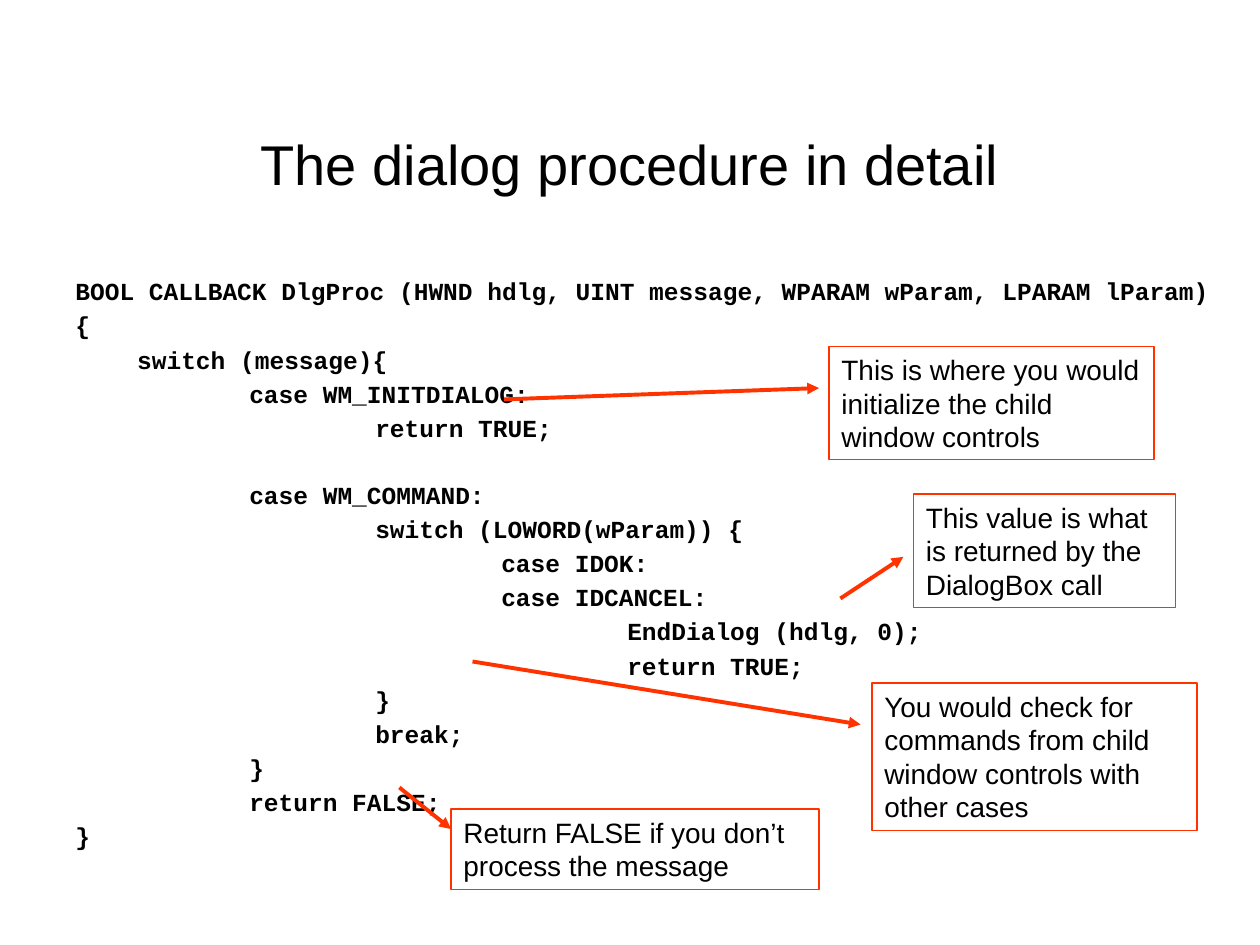
from lxml import etree
from pptx import Presentation
from pptx.dml.color import RGBColor
from pptx.enum import shapes, text
from pptx.oxml import ns
from pptx.util import Inches, Pt

TITLE = "The dialog procedure in detail"
DEPTHS = (0, 0.49, 1.38, 2.38, 3.38, 4.38)
STEP, GAP = 4.4, 23
CODE = [
    (0, STEP, "BOOL CALLBACK DlgProc (HWND hdlg, UINT message, WPARAM wParam, LPARAM lParam)"),
    (0, STEP, "{"),
    (1, STEP, "switch (message){"),
    (2, STEP, "case WM_INITDIALOG:"),
    (3, STEP, "return TRUE;"),
    (2, GAP, "case WM_COMMAND:"),
    (3, STEP, "switch (LOWORD(wParam)) {"),
    (4, STEP, "case IDOK:"),
    (4, STEP, "case IDCANCEL:"),
    (5, STEP, "EndDialog (hdlg, 0);"),
    (5, STEP, "return TRUE;"),
    (3, STEP, "}"),
    (3, STEP, "break;"),
    (2, STEP, "}"),
    (2, STEP, "return FALSE;"),
    (0, STEP, "}"),
]
NOTES = [
    ("This is where you would initialize the child window controls",
     (6.58, 2.75, 2.58, 0.9), (4, 3.17, 6.5, 3.08)),
    ("You would check for commands from child window controls with other cases",
     (6.92, 5.42, 2.58, 1.17), (3.75, 5.25, 6.83, 5.75)),
    ("Return FALSE if you don’t process the message",
     (3.58, 6.42, 2.92, 0.64), (3.17, 6.25, 3.58, 6.58)),
    ("This value is what is returned by the DialogBox call",
     (7.25, 3.92, 2.08, 0.9), (6.67, 4.75, 7.17, 4.42)),
]
BLACK, RED = "000000", "FF3300"
HEAD = {"name": "Arial", "size": Pt(32)}
MONO = {"name": "Courier New", "size": Pt(14), "bold": True}
BODY = {"name": "Arial", "size": Pt(16)}


def style(obj, vals):
    for key, val in vals.items():
        setattr(obj, key, val)


def paint(part, tone):
    part.rgb = RGBColor.from_string(tone)


def write(para, words, face):
    run = para.add_run()
    run.text = words
    style(run.font, face)
    paint(run.font.color, BLACK)


def add_text(slide, area):
    frame = slide.shapes.add_textbox(*map(Inches, area)).text_frame
    frame.word_wrap = True
    return frame


def add_code(frame):
    for row, (depth, gap, words) in enumerate(CODE):
        para = frame.add_paragraph() if row else frame.paragraphs[0]
        para.line_spacing = 0.9
        if row:
            para.space_before = Pt(gap)
        para._p.get_or_add_pPr().set("marL", str(Inches(DEPTHS[depth])))
        write(para, words, MONO)


def add_note(slide, words, area):
    box = slide.shapes.add_shape(shapes.MSO_SHAPE.RECTANGLE, *map(Inches, area))
    box.shadow.inherit = False
    box.fill.background()
    paint(box.line.color, RED)
    box.line.width = Pt(0.75)
    frame = box.text_frame
    style(frame, {"word_wrap": True, "vertical_anchor": text.MSO_ANCHOR.TOP,
                  "auto_size": text.MSO_AUTO_SIZE.SHAPE_TO_FIT_TEXT})
    para = frame.paragraphs[0]
    para.alignment = text.PP_ALIGN.LEFT
    write(para, words, BODY)


def add_arrow(slide, ends):
    arrow = slide.shapes.add_connector(shapes.MSO_CONNECTOR.STRAIGHT, *map(Inches, ends))
    paint(arrow.line.color, RED)
    arrow.line.width = Pt(2.25)
    props = arrow._element.spPr
    etree.SubElement(arrow.line._get_or_add_ln(), ns.qn("a:tailEnd"), type="triangle")
    etree.SubElement(props, ns.qn("a:effectLst"))


def main():
    deck = Presentation()
    style(deck, {"slide_width": Inches(10), "slide_height": Inches(7.5)})
    slide = deck.slides.add_slide(deck.slide_layouts[6])
    head = add_text(slide, (0.75, 0.67, 8.5, 1.25))
    head.vertical_anchor = text.MSO_ANCHOR.MIDDLE
    head.paragraphs[0].alignment = text.PP_ALIGN.CENTER
    write(head.paragraphs[0], TITLE, HEAD)
    add_code(add_text(slide, (0.5, 2.17, 9.25, 4.5)))
    for words, area, ends in NOTES:
        add_note(slide, words, area)
        add_arrow(slide, ends)
    deck.save("out.pptx")


if __name__ == "__main__":
    main()
